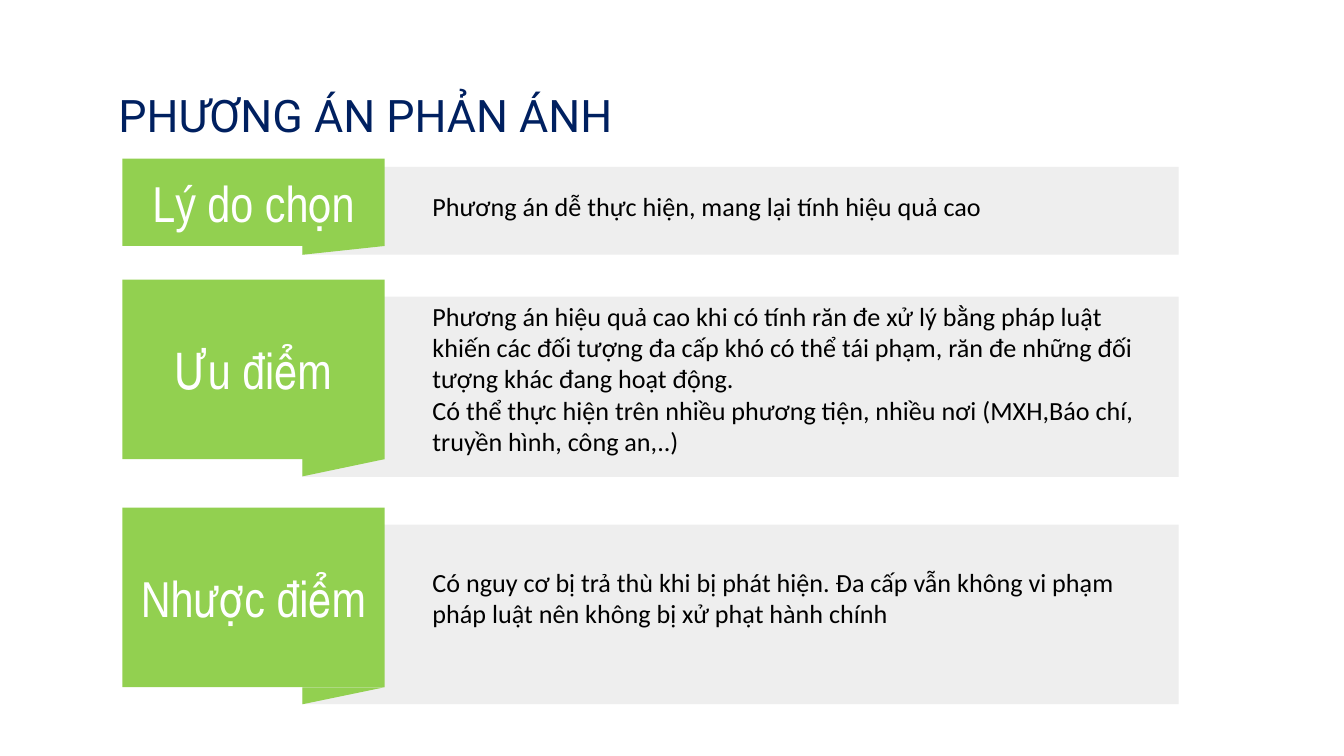
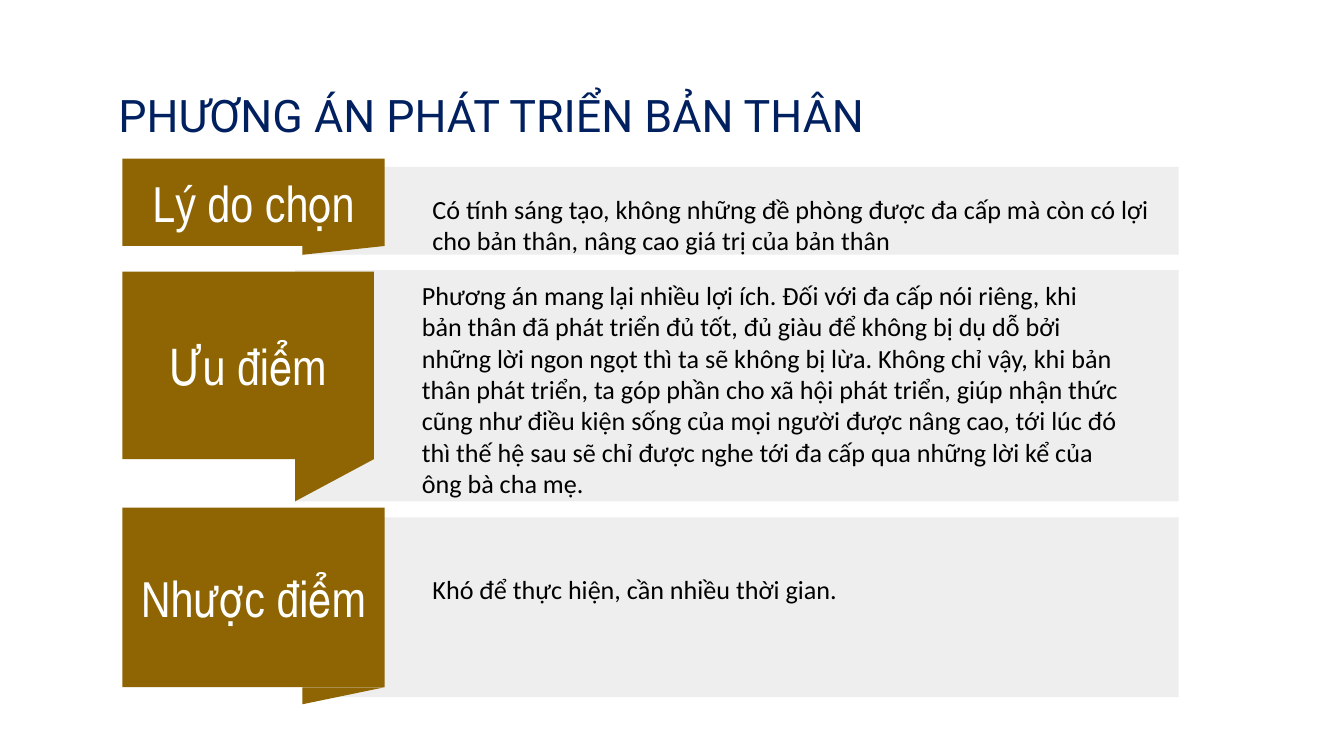
from dataclasses import dataclass

from pptx import Presentation
from pptx.dml.color import RGBColor
from pptx.enum.shapes import MSO_SHAPE
from pptx.enum.text import MSO_ANCHOR, MSO_AUTO_SIZE, PP_ALIGN
from pptx.util import Pt

COLORS = {
    "title": "002060",
    "panel": "EEEEEE",
    "green": "92D050",
    "brown": "8E6502",
    "label": "FFFFFF",
    "text": "000000",
}
INSET = 7.2
TAB_LEFT = 65.5
PANEL_RIGHT = 631.5
FOLD_SHARE = 0.313  # part of the tab's width that the fold takes
TEXT_GAP = 18.6


@dataclass
class Row:
    """Vertical spans are (top, bottom); the text is centred on text_middle."""
    label: str
    paragraphs: list
    tab: tuple
    panel: tuple
    fold_bottom: float
    text_middle: float
    text_height: float = 41
    text_width: float = 406.8
    tab_width: float = 140.5


REPORT_ROWS = [
    Row("Lý do chọn", ["Phương án dễ thực hiện, mang lại tính hiệu quả cao"],
        (85, 131.8), (89.5, 136.5), 136.5, 110.2, text_height=20),
    Row("Ưu điểm",
        ["Phương án hiệu quả cao khi có tính răn đe xử lý bằng pháp luật khiến các "
         "đối tượng đa cấp khó có thể tái phạm, răn đe những đối tượng khác đang hoạt động.",
         "Có thể thực hiện trên nhiều phương tiện, nhiều nơi (MXH,Báo chí, truyền hình, "
         "công an,..)"],
        (149.8, 246), (159, 255.5), 255.2, 202.7),
    Row("Nhược điểm",
        ["Có nguy cơ bị trả thù khi bị phát hiện. Đa cấp vẫn không vi phạm pháp luật "
         "nên không bị xử phạt hành chính"],
        (272, 368.2), (281, 377.3), 377.3, 320),
]

GROWTH_ROWS = [
    Row("Lý do chọn",
        ["Có tính sáng tạo, không những đề phòng được đa cấp mà còn có lợi cho bản thân, "
         "nâng cao giá trị của bản thân"],
        (85, 131.8), (89.5, 136.5), 136.5, 120.2, text_height=20),
    Row("Ưu điểm",
        ["Phương án mang lại nhiều lợi ích. Đối với đa cấp nói riêng, khi bản thân đã "
         "phát triển đủ tốt, đủ giàu để không bị dụ dỗ bởi những lời ngon ngọt thì ta sẽ "
         "không bị lừa. Không chỉ vậy, khi bản thân phát triển, ta góp phần cho xã hội "
         "phát triển, giúp nhận thức cũng như điều kiện sống của mọi người được nâng cao, "
         "tới lúc đó thì thế hệ sau sẽ chỉ được nghe tới đa cấp qua những lời kể của ông "
         "bà cha mẹ."],
        (145.6, 246), (144.7, 268.6), 268.6, 208.4, text_width=390.2, tab_width=134.8),
    Row("Nhược điểm", ["Khó để thực hiện, cần nhiều thời gian."],
        (272, 368.2), (277.2, 373.5), 377.3, 315.7, text_width=382.3),
]


def write(shape, paragraphs, font, size, color, align=PP_ALIGN.LEFT):
    frame = shape.text_frame
    frame.word_wrap = True
    frame.auto_size = MSO_AUTO_SIZE.NONE
    frame.vertical_anchor = MSO_ANCHOR.MIDDLE
    frame.margin_left = frame.margin_right = Pt(INSET)
    frame.margin_top = frame.margin_bottom = Pt(INSET)
    for index, words in enumerate(paragraphs):
        para = frame.add_paragraph() if index else frame.paragraphs[0]
        para.alignment = align
        span = para.add_run()
        span.text = words
        span.font.name = font
        span.font.size = Pt(size)
        span.font.color.rgb = RGBColor.from_string(COLORS[color])


def paint(shape, color):
    shape.shadow.inherit = False
    shape.fill.solid()
    shape.fill.fore_color.rgb = RGBColor.from_string(COLORS[color])
    shape.line.fill.background()


def add_block(group, left, right, span, color):
    top, bottom = span
    block = group.shapes.add_shape(MSO_SHAPE.RECTANGLE, Pt(left), Pt(top),
                                   Pt(right - left), Pt(bottom - top))
    paint(block, color)
    return block


def add_row(page, row, color):
    """Group a grey panel, its label tab, the fold under the tab and the text."""
    group = page.shapes.add_group_shape()
    tab_right = TAB_LEFT + row.tab_width
    fold_left = tab_right - FOLD_SHARE * row.tab_width
    tab_bottom = row.tab[1]

    add_block(group, fold_left, PANEL_RIGHT, row.panel, "panel")
    tab = add_block(group, TAB_LEFT, tab_right, row.tab, color)
    write(tab, [row.label], "Arial Narrow", 27, "label", PP_ALIGN.CENTER)

    outline = group.shapes.build_freeform(Pt(fold_left), Pt(tab_bottom))
    outline.add_line_segments([(Pt(fold_left), Pt(row.fold_bottom)),
                               (Pt(tab_right), Pt(tab_bottom))])
    paint(outline.convert_to_shape(), color)

    box = group.shapes.add_textbox(Pt(tab_right + TEXT_GAP),
                                   Pt(row.text_middle - row.text_height / 2),
                                   Pt(row.text_width), Pt(row.text_height))
    write(box, row.paragraphs, "Calibri", 14, "text")


def add_option_page(deck, title, rows, color):
    page = deck.slides.add_slide(deck.slide_layouts[5])
    heading = page.shapes.title
    heading.left, heading.top = Pt(56.2), Pt(42.5)
    heading.width, heading.height = Pt(608.4), Pt(38.2)
    write(heading, [title], "Roboto", 24, "title")
    for row in rows:
        add_row(page, row, color)


def main():
    deck = Presentation()
    deck.slide_width, deck.slide_height = Pt(720), Pt(405)
    add_option_page(deck, "PHƯƠNG ÁN PHẢN ÁNH", REPORT_ROWS, "green")
    add_option_page(deck, "PHƯƠNG ÁN PHÁT TRIỂN BẢN THÂN", GROWTH_ROWS, "brown")
    deck.save("out.pptx")


if __name__ == "__main__":
    main()
